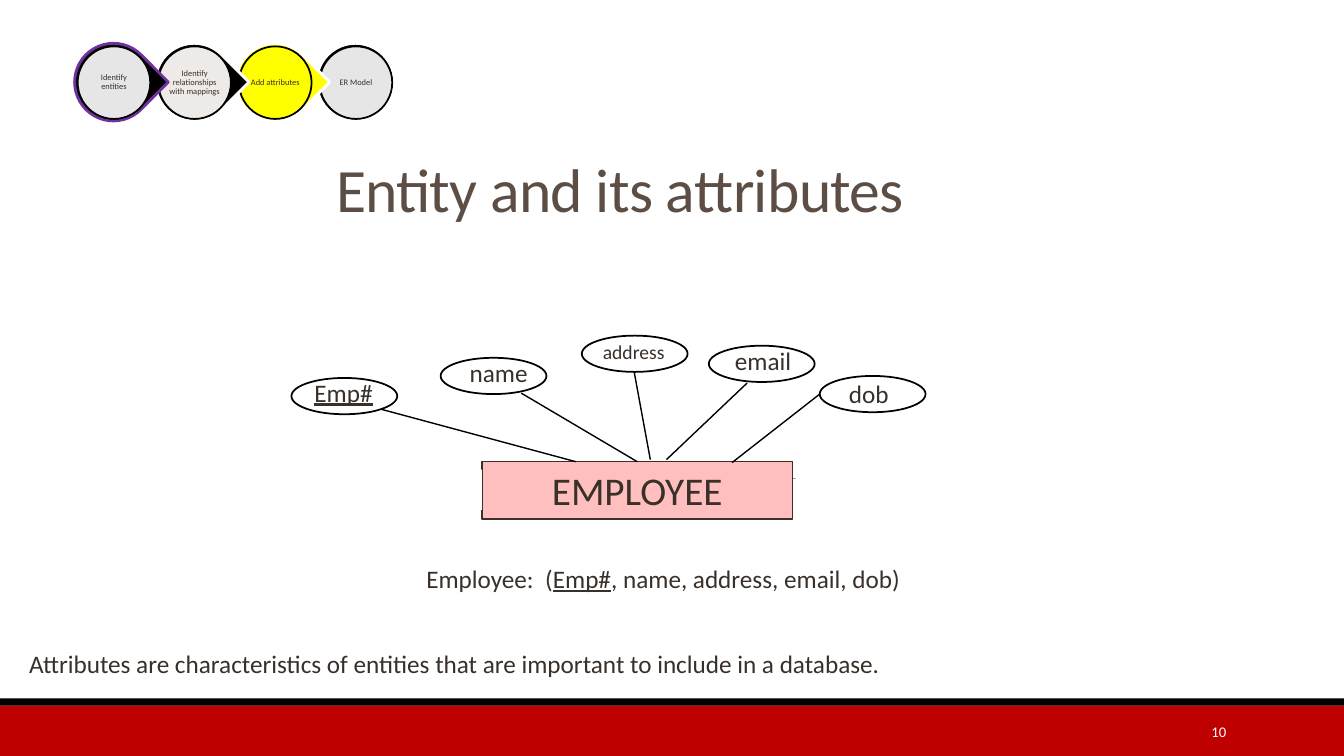
"""Build the slide on an entity and its attributes."""
from dataclasses import dataclass
from typing import Optional

from lxml import etree
from pptx import Presentation
from pptx import util as u
from pptx.dml.color import RGBColor
from pptx.enum import shapes, text
from pptx.oxml import ns

PX = 9144
FONT = "Calibri"
COLORS = {
    "black": "000000", "white": "FFFFFF", "red": "BF0000", "yellow": "FFFF00",
    "pink": "FFBFBF", "purple": "7030A0", "cream": "EEEAE7", "tan": "A89589",
    "title": "5C4E44", "ink": "39302A",
}
KINDS = shapes.MSO_SHAPE
ALIGN = text.PP_ALIGN
ANCHOR = text.MSO_ANCHOR
Area = tuple[int, int, int, int]


@dataclass(frozen=True)
class Step:
    label: str
    fill: str
    alpha: int = 100
    tail: str = "black"
    outline: str = "white"


@dataclass(frozen=True)
class Attribute:
    label: str
    oval: tuple[int, int]
    label_at: tuple[int, int]
    start: tuple[int, int]
    end: tuple[int, int]
    size: int = 18
    key: bool = False


STEPS = [
    Step("Identify entities", "white", 90, outline="purple"),
    Step("Identify relationships with mappings", "cream"),
    Step("Add attributes", "yellow", 90, tail="yellow"),
    Step("ER Model", "white", 90),
]
STEP_PITCH = 80

ATTRIBUTES = [
    Attribute("Emp#", (289, 375), (302, 369), (571, 458), (378, 406), key=True),
    Attribute("name", (437, 355), (456, 350), (632, 458), (517, 390)),
    Attribute("address", (577, 333), (588, 332), (645, 456), (629, 369), size=14),
    Attribute("email", (703, 343), (719, 338), (661, 456), (741, 380)),
    Attribute("dob", (813, 373), (832, 370), (726, 459), (813, 391)),
]
PATCHES = [(113, 466, 365, 40), (789, 473, 365, 40), (1140, 466, 86, 40)]


def color(name: str) -> RGBColor:
    return RGBColor.from_string(COLORS[name])


def emu(area: Area) -> list[u.Emu]:
    return [u.Emu(length * PX) for length in area]


def add_shape(page, kind, area: Area, fill: str, line: Optional[str] = None,
              width: float = 1.25, alpha: int = 100):
    shape = page.shapes.add_shape(kind, *emu(area))
    shape.shadow.inherit = False
    shape.fill.solid()
    shape.fill.fore_color.rgb = color(fill)
    if alpha < 100:
        tint = shape.fill._xPr.find(ns.qn("a:solidFill"))[0]
        etree.SubElement(tint, ns.qn("a:alpha"), val=str(alpha * 1000))
    if line:
        shape.line.color.rgb = color(line)
        shape.line.width = u.Pt(width)
    else:
        shape.line.fill.background()
    return shape


def add_line(page, start: tuple[int, int], end: tuple[int, int],
             line: str = "black", width: float = 1) -> None:
    connector = page.shapes.add_connector(
        shapes.MSO_CONNECTOR.STRAIGHT, *emu((*start, *end)))
    connector.line.color.rgb = color(line)
    connector.line.width = u.Pt(width)
    etree.SubElement(connector._element.spPr, ns.qn("a:effectLst"))


def add_run(para, words: str, size: float, ink: str = "ink",
            underline: bool = False):
    span = para.add_run()
    span.text = words
    span.font.name = FONT
    span.font.size = u.Pt(size)
    span.font.color.rgb = color(ink)
    if underline:
        span.font.underline = True
    return span


def add_text(page, area: Area, words: str, size: float, ink: str = "ink",
             align=ALIGN.LEFT, anchor=ANCHOR.TOP, underline: bool = False,
             wrap: bool = True):
    box = page.shapes.add_textbox(*emu(area))
    frame = box.text_frame
    frame.word_wrap = wrap
    frame.vertical_anchor = anchor
    para = frame.paragraphs[0]
    para.alignment = align
    add_run(para, words, size, ink, underline)
    return box


def add_title(page) -> None:
    title = page.shapes.title
    title.left, title.top, title.width, title.height = emu((90, 141, 1050, 87))
    frame = title.text_frame
    frame.auto_size = text.MSO_AUTO_SIZE.NONE
    frame.vertical_anchor = ANCHOR.BOTTOM
    para = frame.paragraphs[0]
    para.alignment = ALIGN.CENTER
    para.line_spacing = 0.85
    span = add_run(para, "Entity and its attributes", 44, "title")
    span.font._element.set("spc", "-50")


def add_step(page, index: int, step: Step) -> None:
    left = 74 + index * STEP_PITCH
    last = index == len(STEPS) - 1
    tail = add_shape(page, KINDS.OVAL if last else KINDS.TEAR,
                     (left, 43, 77, 77), step.tail, step.outline, 2)
    tail.rotation = 0 if last else 45
    add_shape(page, KINDS.OVAL, (left + 3, 46, 72, 72), step.fill, "black",
              alpha=step.alpha)
    box = add_text(page, (left + 13, 56, 52, 52), step.label, 6,
                   align=ALIGN.CENTER, anchor=ANCHOR.MIDDLE)
    frame = box.text_frame
    frame.margin_left = frame.margin_right = u.Emu(PX)
    frame.margin_top = frame.margin_bottom = u.Emu(PX)
    frame.paragraphs[0].line_spacing = 0.9


def add_attribute(page, item: Attribute) -> None:
    add_line(page, item.start, item.end)
    add_shape(page, KINDS.OVAL, (*item.oval, 105, 36), "white", "black")
    add_text(page, (*item.label_at, 82, 40), item.label, item.size,
             underline=item.key)


def main() -> None:
    deck = Presentation()
    deck.slide_width, deck.slide_height = u.Emu(1333 * PX), u.Emu(750 * PX)
    page = deck.slides.add_slide(deck.slide_layouts[5])

    add_shape(page, KINDS.RECTANGLE, (0, 700, 1333, 50), "red")
    add_shape(page, KINDS.RECTANGLE, (0, 693, 1333, 7), "black")
    add_line(page, (132, 475), (1212, 475), "tan", 0.5)
    add_title(page)
    add_text(page, (1083, 706, 143, 40), "10", 10.5, "white",
             ALIGN.RIGHT, ANCHOR.MIDDLE)

    for index, step in reversed(list(enumerate(STEPS))):
        add_step(page, index, step)

    entity = add_shape(page, KINDS.RECTANGLE, (478, 458, 308, 57), "pink",
                       "ink", 1)
    entity.text_frame.vertical_anchor = ANCHOR.TOP
    para = entity.text_frame.paragraphs[0]
    para.alignment = ALIGN.CENTER
    add_run(para, "EMPLOYEE", 28)
    for item in ATTRIBUTES:
        add_attribute(page, item)
    for patch in PATCHES:
        add_shape(page, KINDS.RECTANGLE, patch, "white")

    schema = add_text(page, (413, 554, 496, 40), "Employee:  (", 18, wrap=False)
    para = schema.text_frame.paragraphs[0]
    add_run(para, "Emp#", 18, underline=True)
    add_run(para, ", name, address, email, dob)", 18)
    add_text(page, (19, 638, 881, 40),
             "Attributes are characteristics of entities that are important "
             "to include in a database.", 18)
    deck.save("out.pptx")


if __name__ == "__main__":
    main()
